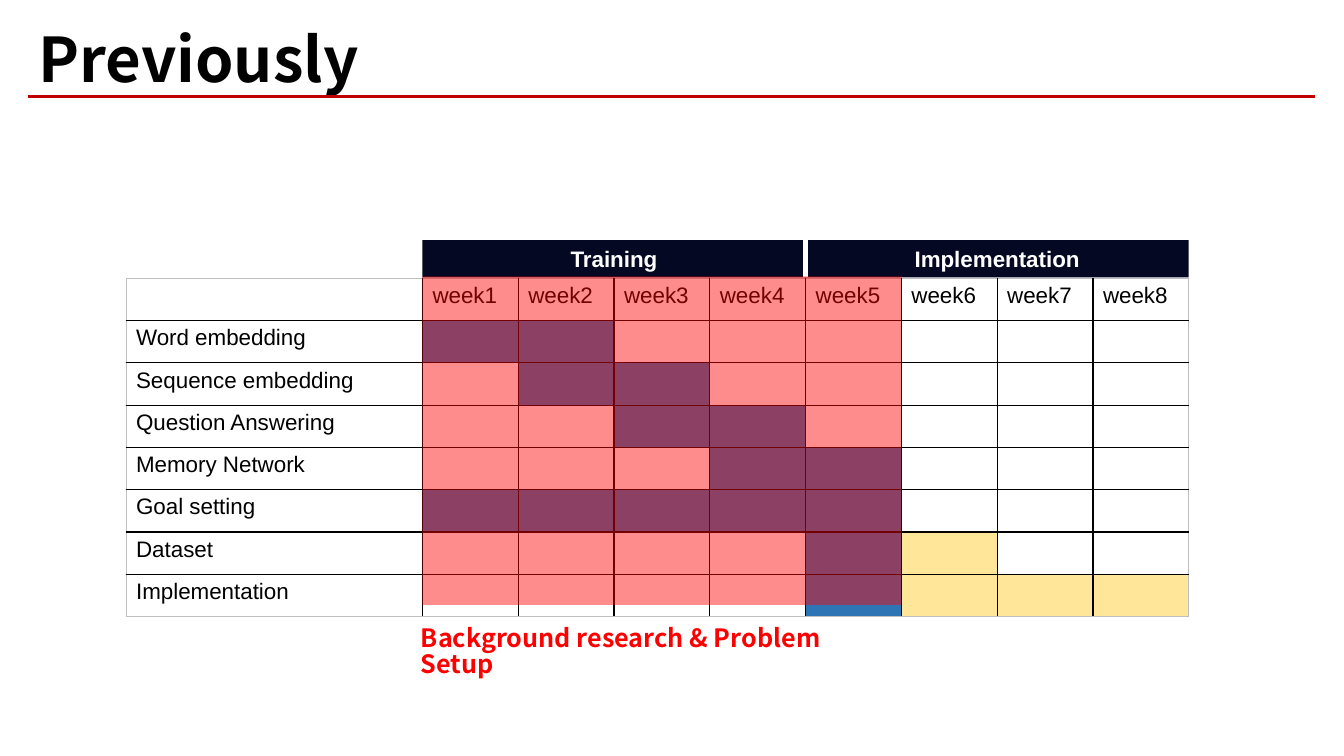
from lxml import etree
from pptx import Presentation
from pptx.dml.color import RGBColor
from pptx.enum.shapes import MSO_CONNECTOR, MSO_SHAPE
from pptx.enum.text import MSO_ANCHOR, MSO_AUTO_SIZE, PP_ALIGN
from pptx.oxml.ns import qn
from pptx.util import Inches, Pt

LEFT, CENTER = PP_ALIGN.LEFT, PP_ALIGN.CENTER
TOP, MIDDLE = MSO_ANCHOR.TOP, MSO_ANCHOR.MIDDLE
RECTANGLE, STRAIGHT = MSO_SHAPE.RECTANGLE, MSO_CONNECTOR.STRAIGHT
NO_AUTOFIT = MSO_AUTO_SIZE.NONE

SANS, HEADING = "Arial", "Noto Sans CJK KR"
BLACK, WHITE, RED, NAVY = "000000", "FFFFFF", "FF0000", "050823"
DONE, PLANNED, RULE, EDGE = "2E75B6", "FFE699", "C00000", "BFBFBF"

WEEKS, CURRENT_WEEK, TRAINING_WEEKS = 8, 5, 4
TASKS = [
    ("Word embedding", (1, 2)),
    ("Sequence embedding", (2, 3)),
    ("Question Answering", (3, 4)),
    ("Memory Network", (4, 5)),
    ("Goal setting", (1, 2, 3, 4, 5)),
    ("Dataset", (5, 6)),
    ("Implementation", (5, 6, 7, 8)),
]


def color(value):
    """Turn a hex string into a colour."""
    return RGBColor.from_string(value)


class SchedulePage:
    """Draws on one slide, measured in weeks across and rows down."""

    left, top = 4.19, 2.76
    task_width, week_width, row_height = 2.94, 0.95, 0.42

    def __init__(self, slide):
        self.slide = slide

    def x(self, week):
        """Return the left edge of a week, counted from zero."""
        return Inches(self.left + week * self.week_width)

    def y(self, row):
        """Return the top edge of a table row, counted from zero."""
        return Inches(self.top + row * self.row_height)

    def box(self, week, row, weeks, rows):
        """Return left, top, width and height of a grid area."""
        return (self.x(week), self.y(row),
                Inches(weeks * self.week_width), Inches(rows * self.row_height))

    def add_text(self, frame, text, size, ink, face, bold=False,
                 align=LEFT, anchor=TOP, spacing=None):
        """Fill a text frame with one formatted run."""
        frame.word_wrap = True
        frame.vertical_anchor = anchor
        paragraph = frame.paragraphs[0]
        paragraph.alignment = align
        if spacing:
            paragraph.line_spacing = spacing
        run = paragraph.add_run()
        run.text = text
        run.font.size, run.font.name, run.font.bold = Pt(size), face, bold
        run.font.color.rgb = color(ink)

    def title(self, text):
        """Place and format the title placeholder."""
        heading = self.slide.shapes.title
        heading.left, heading.top = Inches(0.28), Inches(0.02)
        heading.width, heading.height = Inches(6.53), Inches(1.2)
        heading.text_frame.auto_size = NO_AUTOFIT
        self.add_text(heading.text_frame, text, 44, BLACK, HEADING, True,
                      anchor=MIDDLE, spacing=0.9)

    def line(self, start, end, ink, width):
        """Draw a straight line between two points."""
        rule = self.slide.shapes.add_connector(STRAIGHT, *start, *end)
        rule.line.color.rgb = color(ink)
        rule.line.width = Pt(width)
        etree.SubElement(rule.element.spPr, qn("a:effectLst"))

    def block(self, area, fill, opacity=None):
        """Draw a filled rectangle without outline or shadow."""
        panel = self.slide.shapes.add_shape(RECTANGLE, *area)
        panel.shadow.inherit = False
        panel.fill.solid()
        panel.fill.fore_color.rgb = color(fill)
        panel.line.fill.background()
        if opacity is not None:
            tint = panel.element.spPr.find(".//" + qn("a:srgbClr"))
            etree.SubElement(tint, qn("a:alpha"), val=str(opacity * 1000))
        return panel

    def phase(self, name, first, weeks):
        """Draw a phase heading above its weeks."""
        heading = self.block(self.box(first, -0.9, weeks, 0.88), NAVY)
        self.add_text(heading.text_frame, name, 16, WHITE, SANS, True,
                      CENTER, MIDDLE)

    def note(self, area, text):
        """Add a caption."""
        caption = self.slide.shapes.add_textbox(*area)
        self.add_text(caption.text_frame, text, 18, RED, HEADING, True,
                      spacing=0.85)

    def border(self, cell, side, ink, width):
        """Draw one side of a table cell."""
        props = cell._tc.get_or_add_tcPr()
        edge = etree.SubElement(props, qn("a:" + side), w=str(Pt(width)))
        solid = etree.SubElement(edge, qn("a:solidFill"))
        etree.SubElement(solid, qn("a:srgbClr"), val=ink)

    def schedule(self, rows):
        """Build the table from rows of (text, fill) pairs."""
        count, columns = len(rows), len(rows[0])
        width = self.task_width + WEEKS * self.week_width
        table = self.slide.shapes.add_table(
            count, columns, Inches(self.left - self.task_width), self.y(0),
            Inches(width), Inches(count * self.row_height)).table
        table.first_row = table.horz_banding = False
        for number, column in enumerate(table.columns):
            column.width = Inches(self.week_width if number else self.task_width)
        for r, entries in enumerate(rows):
            table.rows[r].height = Inches(self.row_height)
            for c, (text, fill) in enumerate(entries):
                cell = table.cell(r, c)
                outer = {"lnL": c == 0, "lnR": c == columns - 1,
                         "lnT": r == 0, "lnB": r == count - 1}
                for side, is_outer in outer.items():
                    self.border(cell, side, *((EDGE, 0.5) if is_outer else (BLACK, 1)))
                if fill:
                    cell.fill.solid()
                    cell.fill.fore_color.rgb = color(fill)
                else:
                    cell.fill.background()
                if text:
                    self.add_text(cell.text_frame, text, 16, BLACK, SANS)


def task_row(task, active):
    """Return the table row of one task."""
    shades = [(DONE if week <= CURRENT_WEEK else PLANNED) if week in active else None
              for week in range(1, WEEKS + 1)]
    return [(task, None)] + [("", shade) for shade in shades]


def main():
    """Build and save the slide."""
    deck = Presentation()
    deck.slide_width, deck.slide_height = Inches(13.33), Inches(7.5)
    page = SchedulePage(deck.slides.add_slide(deck.slide_layouts[5]))

    page.title("Previously")
    page.line((Inches(0.28), Inches(0.96)), (Inches(13.04), Inches(0.96)), RULE, 2)

    week_names = [("", None)] + [(f"week{n}", None) for n in range(1, WEEKS + 1)]
    page.schedule([week_names] + [task_row(*task) for task in TASKS])

    page.phase("Training", 0, TRAINING_WEEKS)
    page.phase("Implementation", TRAINING_WEEKS, WEEKS - TRAINING_WEEKS)
    divider = page.x(TRAINING_WEEKS)
    page.line((divider, page.y(-0.9)), (divider, page.y(-0.02)), WHITE, 3)

    page.block(page.box(0, -0.04, CURRENT_WEEK, 7.76), RED, 45)
    page.note(page.box(-0.12, 8.12, 5.16, 0.95),
              "Background research & Problem Setup")
    deck.save("out.pptx")


if __name__ == "__main__":
    main()
